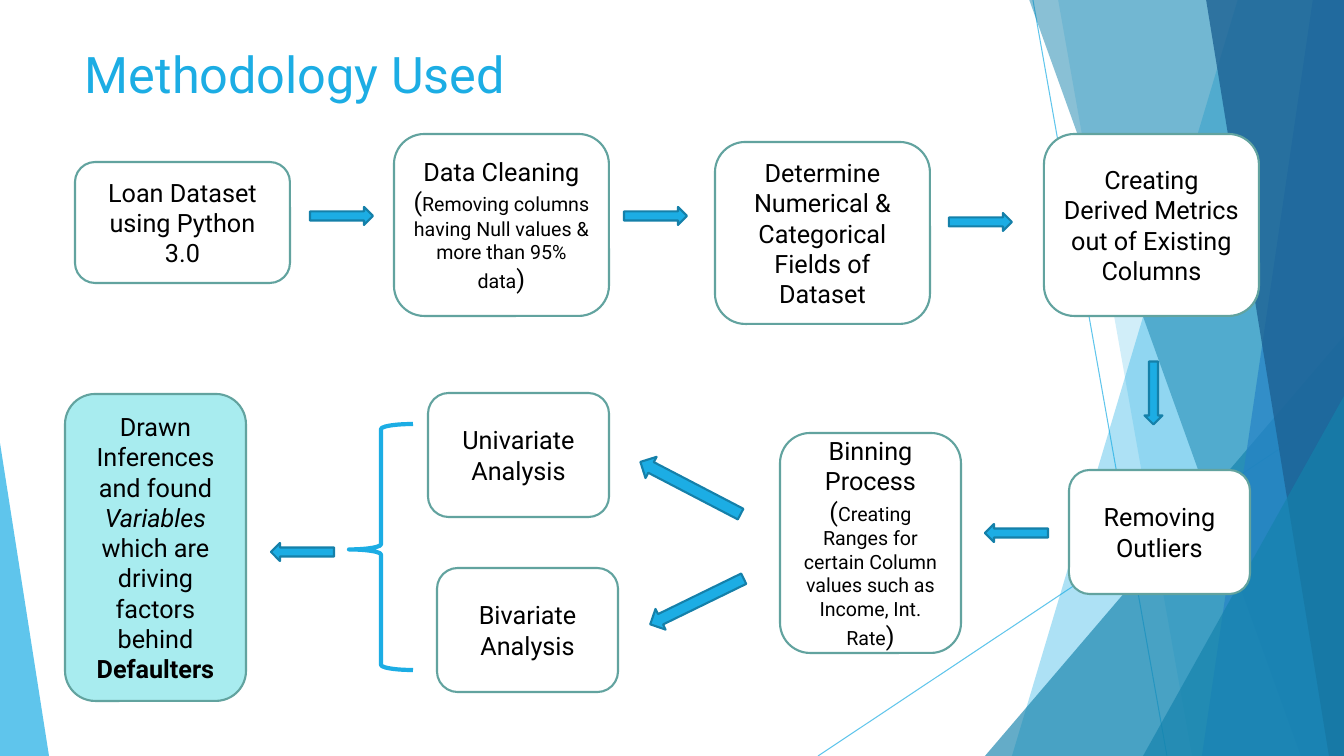
"""Builds the Methodology Used flow slide."""
import pptx
import pptx.util
import pptx.dml.color
import pptx.enum.shapes
import pptx.enum.text
import pptx.oxml.ns
import lxml.etree

COLORS = {"sky": "1CADE4", "teal": "1482AC", "blue": "2683C6", "navy": "1D6294",
          "edge": "62A39F", "arrow_edge": "1580A9", "mint": "A8ECEF",
          "white": "FFFFFF", "black": "000000"}
SCALE = 914400 / 100.8
WIDTH, HEIGHT = 1344, 756
SHAPES = pptx.enum.shapes.MSO_SHAPE
CENTER = pptx.enum.text.PP_ALIGN.CENTER
MIDDLE = pptx.enum.text.MSO_ANCHOR.MIDDLE


def emu(*pixels):
    return [round(value * SCALE) for value in pixels]


def rgb(name):
    return pptx.dml.color.RGBColor.from_string(COLORS[name])


class Page:
    def __init__(self, slide, font):
        self.shapes = slide.shapes
        self.font = font

    def fade(self, item, percent):
        for color in item.element.spPr.iter(pptx.oxml.ns.qn("a:srgbClr")):
            alpha = lxml.etree.SubElement(color, pptx.oxml.ns.qn("a:alpha"))
            alpha.set("val", str(percent * 1000))

    def paint(self, shape, fill=None, line=None, weight=1.5):
        shape.shadow.inherit = False
        if fill:
            shape.fill.solid()
            shape.fill.fore_color.rgb = rgb(fill)
        else:
            shape.fill.background()
        if line:
            shape.line.color.rgb = rgb(line)
            shape.line.width = pptx.util.Pt(weight)
        else:
            shape.line.fill.background()

    def preset(self, kind, area, adjust=(), rotation=0, **style):
        shape = self.shapes.add_shape(kind, *emu(*area))
        for index, value in enumerate(adjust):
            shape.adjustments[index] = value
        shape.rotation = rotation
        self.paint(shape, **style)
        return shape

    def triangle(self, area, apex, fill, opacity):
        self.fade(self.preset(SHAPES.ISOSCELES_TRIANGLE, area, [apex], fill=fill), opacity)

    def band(self, top, bottom, fill, opacity):
        builder = self.shapes.build_freeform(top, -1, SCALE)
        builder.add_line_segments([(WIDTH, -1), (WIDTH, HEIGHT), (bottom, HEIGHT)], close=True)
        shape = builder.convert_to_shape()
        self.paint(shape, fill)
        self.fade(shape, opacity)

    def line(self, ends, color, opacity):
        line = self.shapes.add_connector(pptx.enum.shapes.MSO_CONNECTOR.STRAIGHT, *emu(*ends))
        line.line.color.rgb = rgb(color)
        line.line.width = pptx.util.Pt(0.75)
        lxml.etree.SubElement(line.element.spPr, pptx.oxml.ns.qn("a:effectLst"))
        self.fade(line, opacity)

    def add_text(self, frame, paragraphs, color="black", align=None):
        frame.word_wrap = True
        for index, runs in enumerate(paragraphs):
            para = frame.add_paragraph() if index else frame.paragraphs[0]
            para.alignment = align
            for text, size, extra in runs:
                span = para.add_run()
                span.text = text
                span.font.color.rgb = rgb(color)
                values = {"name": self.font, "size": pptx.util.Pt(size), **extra}
                for name, value in values.items():
                    setattr(span.font, name, value)

    def title(self, area, text):
        box = self.shapes.add_textbox(*emu(*area))
        self.add_text(box.text_frame, [[(text, 36, {})]], "sky")

    def step(self, area, paragraphs, fill="white"):
        box = self.preset(SHAPES.ROUNDED_RECTANGLE, area, fill=fill, line="edge")
        box.text_frame.vertical_anchor = MIDDLE
        self.add_text(box.text_frame, paragraphs, align=CENTER)

    def arrow(self, left, top, rotation=0, width=63, height=18):
        self.preset(SHAPES.RIGHT_ARROW, (left, top, width, height), rotation=rotation,
                    fill="sky", line="arrow_edge")


def plain(text):
    return [[(text, 18, {})]]


deck = pptx.Presentation()
deck.slide_width, deck.slide_height = emu(WIDTH, HEIGHT)
page = Page(deck.slides.add_slide(deck.slide_layouts[6]), "Roboto")

page.line((1033, 0, 1167, HEIGHT), "sky", 70)
page.line((WIDTH, 406, 818, HEIGHT), "sky", 70)
page.band(1238, 1012, "sky", 36)
page.band(1058, 1192, "sky", 20)
page.triangle((985, 336, 359, 420), 1, "teal", 66)
page.band(1029, 1301, "teal", 50)
page.band(1313, 1202, "blue", 70)
page.band(1206, 1329, "navy", 80)
page.triangle((1143, 396, 201, 360), 1, "teal", 66)
page.triangle((0, 443, 49, 313), 0, "sky", 70)

page.title((75, 38, 948, 145), "Methodology Used")

cleaning = [[("Data Cleaning", 18, {})],
            [("(", 18, {}),
             ("Removing columns having Null values & more than 95% data", 14, {}),
             (")", 18, {})]]
binning = [[("Binning Process (", 18, {}),
            ("Creating Ranges for certain Column values such as Income, Int. Rate", 14, {}),
            (")", 18, {})]]
inferences = [[("Drawn Inferences and found ", 18, {}),
               ("Variables", 18, {"italic": True}),
               (" which are driving factors behind ", 18, {}),
               ("Defaulters", 18, {"bold": True})]]

top_width, low_width = 215, 181
tall, short = 182, 124
page.step((75, 162, top_width, 121), plain("Loan Dataset using Python 3.0"))
page.step((394, 134, top_width, tall), cleaning)
page.step((715, 142, top_width, tall),
          plain("Determine Numerical & Categorical Fields of Dataset"))
page.step((1044, 134, top_width, tall),
          plain("Creating Derived Metrics out of Existing Columns"))
page.step((1069, 470, low_width, short), plain("Removing Outliers"))
page.step((780, 433, low_width, 220), binning)
page.step((428, 393, low_width, short), plain("Univariate Analysis"))
page.step((437, 568, low_width, short), plain("Bivariate Analysis"))
page.step((65, 394, low_width, 307), inferences, "mint")

for left, top, rotation in [(310, 207, 0), (624, 207, 0), (949, 213, 0),
                            (1122, 384, 90), (985, 524, 180), (271, 543, 180)]:
    page.arrow(left, top, rotation)
page.arrow(634, 476, 207.5, 113, 24)
page.arrow(645, 590, 154, 104, 23)
page.preset(SHAPES.LEFT_BRACE, (349, 424, 64, 246), [0.08, 0.51], line="sky", weight=3)

deck.save("out.pptx")
